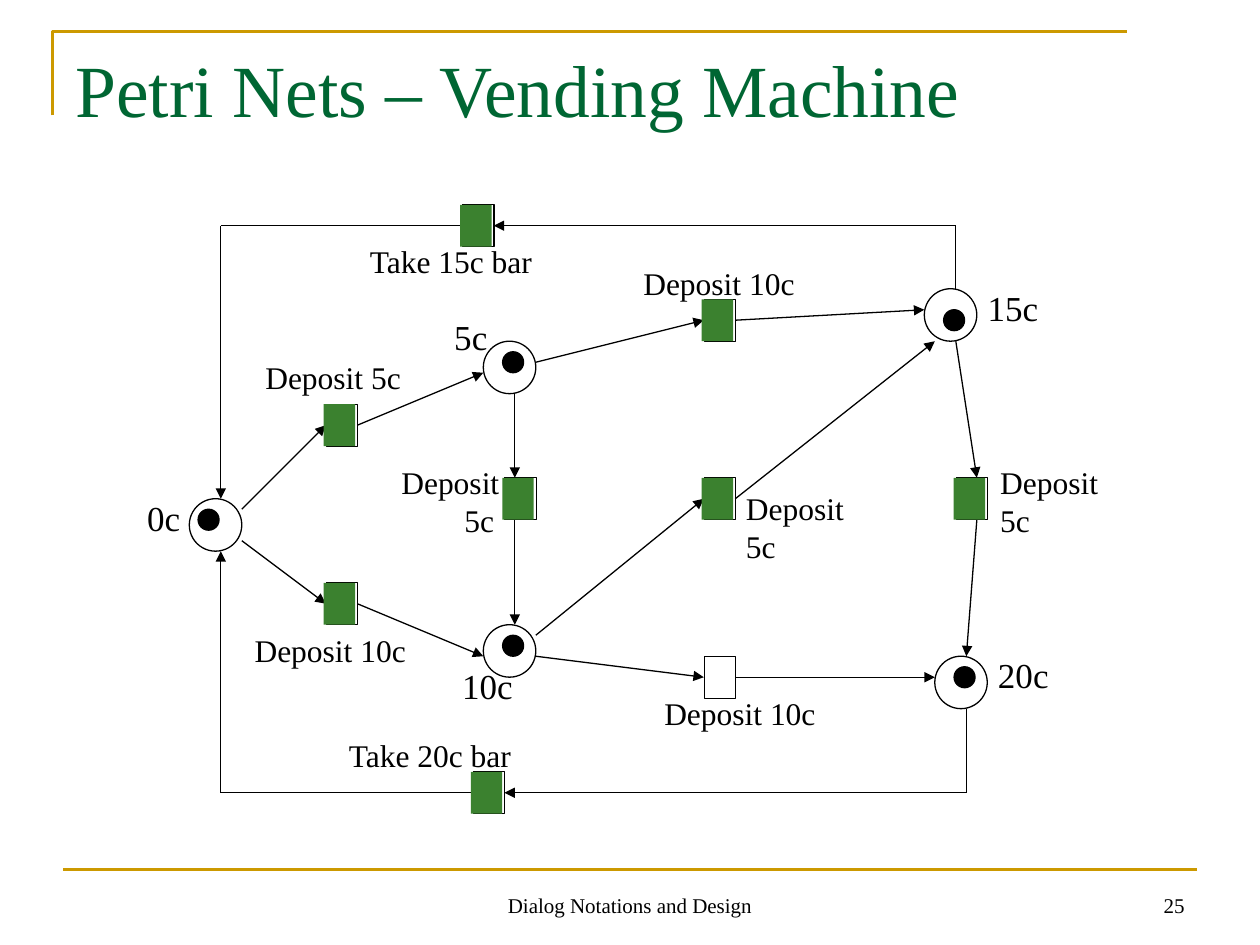
from lxml import etree
from pptx import Presentation
from pptx.dml.color import RGBColor
from pptx.enum.shapes import MSO_CONNECTOR, MSO_SHAPE
from pptx.enum.text import MSO_ANCHOR, MSO_AUTO_SIZE, PP_ALIGN
from pptx.oxml.ns import qn
from pptx.util import Pt

STRAIGHT = MSO_CONNECTOR.STRAIGHT
OVAL, RECT = MSO_SHAPE.OVAL, MSO_SHAPE.RECTANGLE
LEFT, CENTER, RIGHT = PP_ALIGN.LEFT, PP_ALIGN.CENTER, PP_ALIGN.RIGHT
TOP, BOTTOM = MSO_ANCHOR.TOP, MSO_ANCHOR.BOTTOM
FIT, NO_FIT = MSO_AUTO_SIZE.SHAPE_TO_FIT_TEXT, MSO_AUTO_SIZE.NONE

COLORS = {"ink": "000000", "title": "006633", "rule": "CC9900", "bar": "3B812F"}
FONT = "Times New Roman"
PLACE, TOKEN = 30, 12
BAR_W, BAR_H = 18, 24


class NetSlide:
    """Holds the style and the slide being drawn."""

    def __init__(self, slide):
        self.shapes = slide.shapes

    def color(self, name):
        return RGBColor.from_string(COLORS[name])

    def outline(self, shape, color="ink", width=0.75):
        shape.line.color.rgb = self.color(color)
        shape.line.width = Pt(width)

    def shape(self, kind, x, y, w, h, fill=None, line="ink"):
        shape = self.shapes.add_shape(kind, Pt(x), Pt(y), Pt(w), Pt(h))
        shape.shadow.inherit = False
        if fill:
            shape.fill.solid()
            shape.fill.fore_color.rgb = self.color(fill)
        else:
            shape.fill.background()
        if line:
            self.outline(shape, line)
        else:
            shape.line.fill.background()

    def line(self, start, end, arrow=True, color="ink", width=0.75):
        line = self.shapes.add_connector(STRAIGHT, *map(Pt, start + end))
        self.outline(line, color, width)
        properties = line._element.spPr
        if arrow:
            etree.SubElement(properties.find(qn("a:ln")), qn("a:tailEnd"), type="triangle")
        etree.SubElement(properties, qn("a:effectLst"))

    def route(self, *points):
        """Chain of straight lines with an arrowhead on the last one."""
        last = len(points) - 2
        for i, (start, end) in enumerate(zip(points, points[1:])):
            self.line(start, end, arrow=i == last)

    def corner(self, *points):
        first, *rest = points
        builder = self.shapes.build_freeform(Pt(first[0]), Pt(first[1]))
        builder.add_line_segments([(Pt(x), Pt(y)) for x, y in rest], close=False)
        corner = builder.convert_to_shape()
        corner.shadow.inherit = False
        corner.fill.background()
        self.outline(corner, "rule", 1.5)

    def text(self, words, x, y, w, h, size, color="ink", align=LEFT,
             anchor=TOP, fit=NO_FIT, indent=0):
        box = self.shapes.add_textbox(Pt(x), Pt(y), Pt(w), Pt(h))
        frame = box.text_frame
        frame.text = words
        frame_format = {"word_wrap": True, "auto_size": fit, "vertical_anchor": anchor}
        for name, value in frame_format.items():
            setattr(frame, name, value)
        font_format = {"name": FONT, "size": Pt(size)}
        for paragraph in frame.paragraphs:
            paragraph.alignment = align
            for name, value in font_format.items():
                setattr(paragraph.font, name, value)
            paragraph.font.color.rgb = self.color(color)
        if indent:
            frame.paragraphs[-1]._p.get_or_add_pPr().set("marL", str(Pt(indent)))

    def label(self, words, x, y, w, size=18, indent=0):
        height = 7.2 + 1.2 * size * len(words.split("\n"))
        self.text(words, x, y, w, height, size, fit=FIT, indent=indent)


# Places: left, top, then the token's offset inside the circle
PLACES = [
    (108.2, 285, 5, 6),
    (276.2, 195, 11, 6),
    (276.2, 357, 11, 6),
    (534.2, 375, 11, 6),
    (528.2, 165, 11, 12),
]

# Transitions: left, top, whether it is filled
TRANSITIONS = [
    (186.4, 333, True), (186.4, 231, True),
    (402.4, 171, True), (402.4, 375, False), (402.4, 273, True),
    (288.4, 273, True), (546.4, 273, True),
    (270.4, 441, True), (264.4, 117, True),
]

ROUTES = [
    # From 0c
    [(138.2, 291), (186.2, 243)], [(204.2, 243), (276.2, 213)],
    [(138.2, 309), (186.2, 345)], [(204.2, 345), (276.2, 375)],
    # From 5c
    [(306.2, 207), (402.2, 183)], [(420.2, 183), (528.2, 177)],
    [(294.2, 225), (294.2, 273)], [(294.2, 297), (294.2, 357)],
    # From 10c
    [(306.2, 363), (402.2, 285)], [(420.2, 285), (534.2, 195)],
    [(306.2, 375), (402.2, 387)], [(420.2, 387), (534.2, 387)],
    # From 15c to 20c
    [(546.2, 195), (558.2, 273)], [(558.2, 297), (552.2, 375)],
    # Back to 0c
    [(546.2, 165), (546.2, 129), (282.2, 129)],
    [(264.2, 129), (126.2, 129), (126.2, 285)],
    [(552.2, 405), (552.2, 453), (288.2, 453)],
    [(270.2, 453), (126.2, 453), (126.2, 315)],
]

# Labels: words, left, top, width
PLACE_LABELS = [
    ("0c", 77, 280, 36), ("5c", 252.5, 177, 36), ("10c", 257, 376, 46),
    ("15c", 557.3, 160, 46), ("20c", 563.2, 370, 46),
]
ACTION_LABELS = [
    ("Take 15c bar", 204.3, 135, 110), ("Take 20c bar", 192.3, 417, 110),
    ("Deposit 5c", 144.5, 201, 95), ("Deposit 10c", 138.4, 357, 104),
    ("Deposit 10c", 360.5, 147.3, 104), ("Deposit 10c", 372.5, 393, 104),
    ("Deposit\n5c", 419.2, 275.8, 72), ("Deposit\n5c", 564.5, 261, 72),
]


def main():
    prs = Presentation()
    prs.slide_width, prs.slide_height = Pt(720), Pt(540)
    net = NetSlide(prs.slides.add_slide(prs.slide_layouts[6]))

    # Frame, title and footer
    net.corner((30, 66), (30, 18), (644, 18))
    net.line((36, 497), (684, 497), arrow=False, color="rule", width=1.5)
    net.text("Petri Nets – Vending Machine", 36, 21.6, 648, 90, 42, "title")
    net.text("Dialog Notations and Design", 246, 492, 228, 36, 12,
             align=CENTER, anchor=BOTTOM)
    net.text("25", 516, 491.7, 168, 36, 12, align=RIGHT, anchor=BOTTOM)

    # Outlines and arrows of the net
    for x, y, _, _ in PLACES:
        net.shape(OVAL, x, y, PLACE, PLACE)
    for x, y, _ in TRANSITIONS:
        net.shape(RECT, x, y, BAR_W, BAR_H)
    for points in ROUTES:
        net.route(*points)

    # Labels
    for place in PLACE_LABELS:
        net.label(*place, size=20)
    for action in ACTION_LABELS:
        net.label(*action)
    net.label("Deposit\n5c", 222.3, 261, 78, indent=36)

    # Filled bars and tokens
    for x, y, filled in TRANSITIONS:
        if filled:
            net.shape(RECT, x - 1.4, y, BAR_W, BAR_H, "bar", None)
    for x, y, dx, dy in PLACES:
        net.shape(OVAL, x + dx, y + dy, TOKEN, TOKEN, "ink")

    prs.save("out.pptx")


if __name__ == "__main__":
    main()
